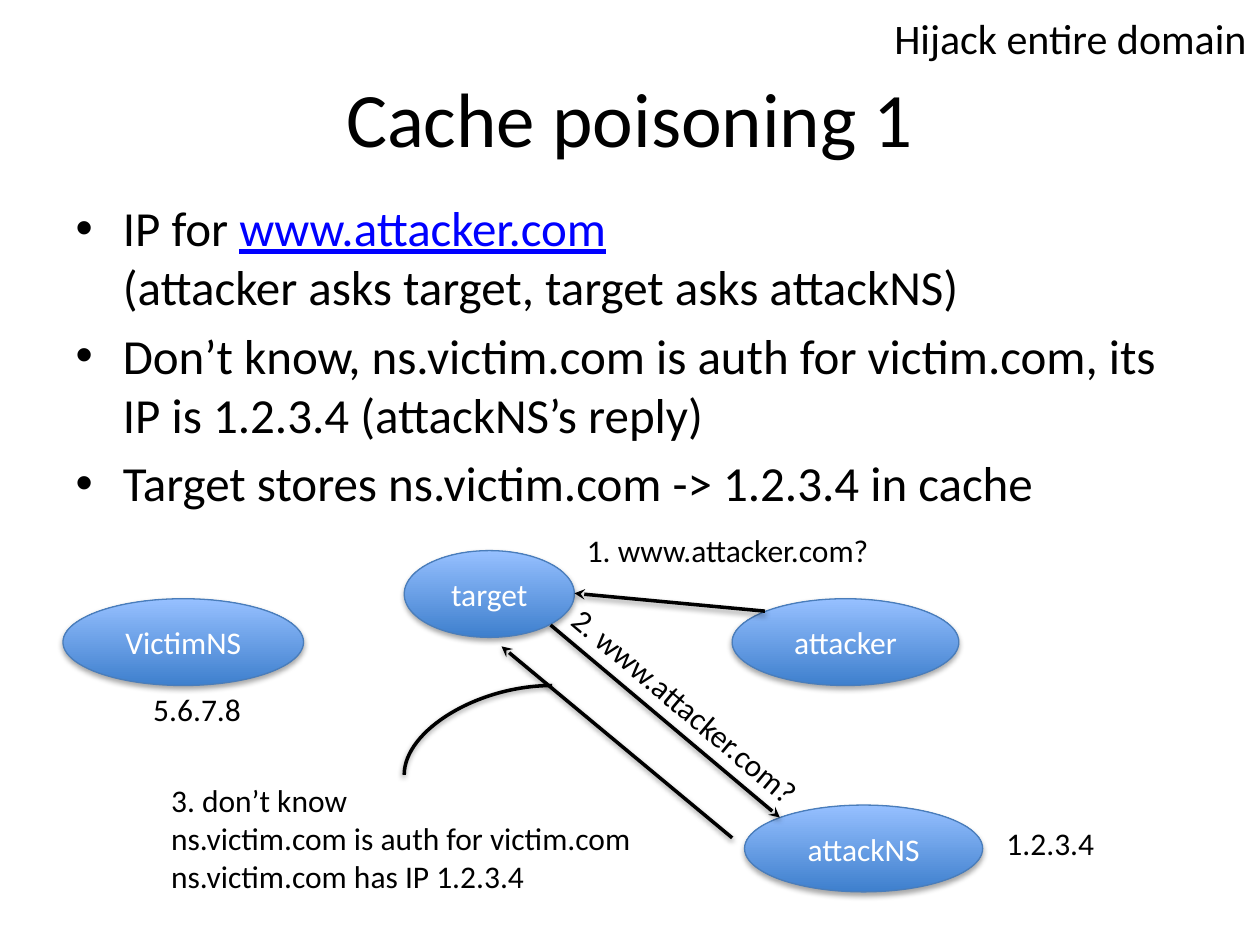
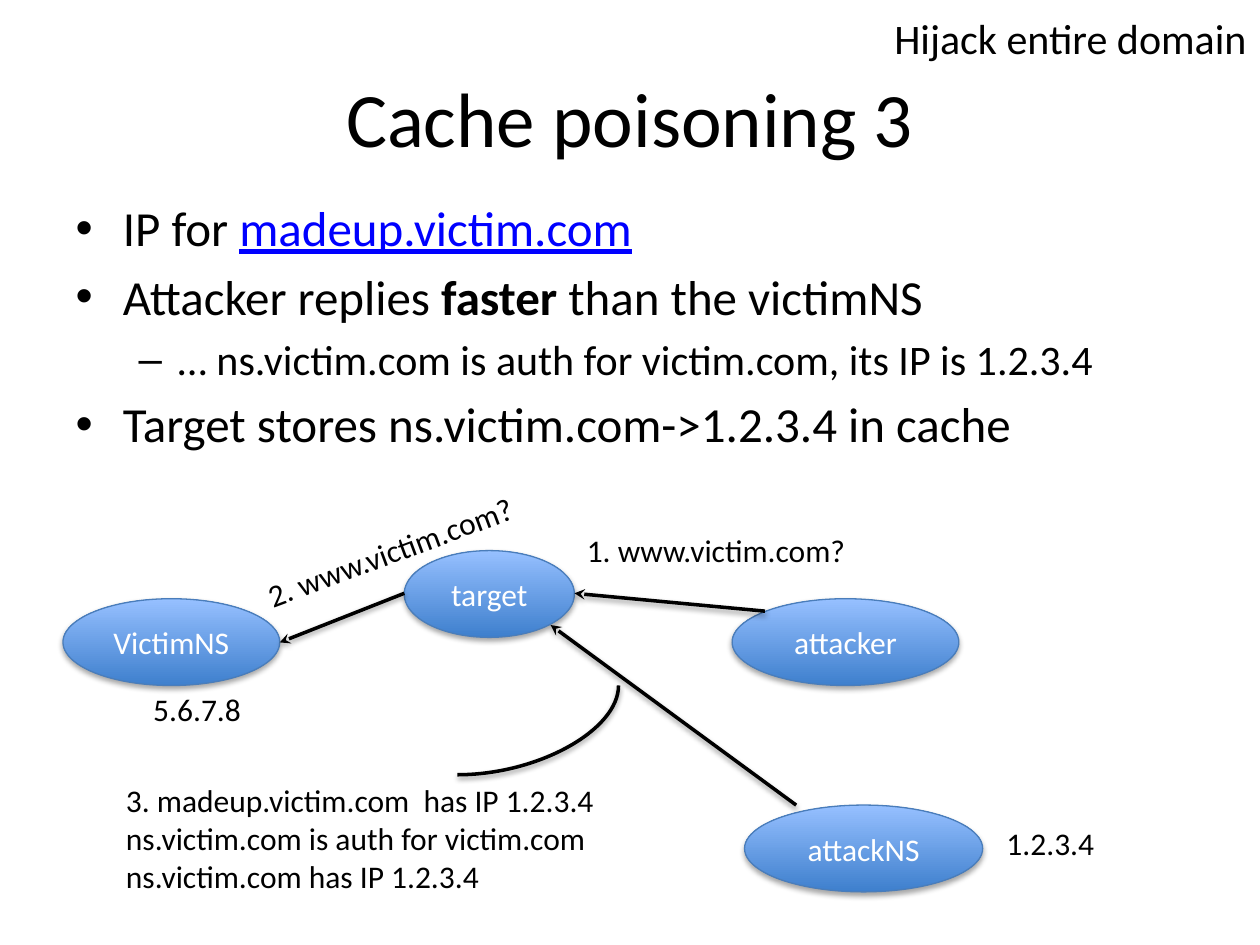
"""Build two slides on DNS cache poisoning, each with a list and a message diagram."""
from pptx import Presentation
from pptx.dml.color import RGBColor
from pptx.enum.shapes import MSO_CONNECTOR as Link, MSO_SHAPE as Form
from pptx.enum.text import MSO_ANCHOR as Anchor, MSO_AUTO_SIZE as Fit, PP_ALIGN as Align
from pptx.oxml import parse_xml
from pptx.oxml.ns import nsdecls, qn
from pptx.util import Cm, Pt

BLACK, WHITE, BLUE = "000000", "FFFFFF", "0000FF"
DARK, LIGHT, EDGE = "3E7FCD", "96C0FF", "4A7DBA"
FACE = "Calibri"
OVAL = 1.75
ROW = 1.02


def tint(code):
    """Turn a hex string into a colour."""
    return RGBColor.from_string(code)


def style(frame, size, code):
    """Give every run of a text frame its font, size and colour."""
    for para in frame.paragraphs:
        for run in para.runs:
            run.font.name = FACE
            run.font.size = Pt(size)
            run.font.color.rgb = tint(code)


nodes = [
    ("attacker", 14.76, 12.07, 4.57),
    ("attackNS", 15.01, 16.23, 4.8),
    ("target", 8.15, 11.1, 3.43),
]
notes = [
    ("1.2.3.4", 20.04, 16.48, 2.29, ROW, 0, 18),
    ("5.6.7.8", 2.84, 13.79, 2.29, ROW, 0, 18),
    ("Hijack entire domain", 17.78, 0.13, 7.7, 1.27, 0, 24),
]
query = (15.42, 12.32, 11.58, 11.96)

pages = [
    {
        "title": "Cache poisoning 1",
        "list": [
            (0, [("IP for ", ""), ("www.attacker.com", "link"), (" ", ""), ("\v", ""),
                 ("(attacker asks target, target asks attackNS)", "")]),
            (0, [("Don’t know, ns.victim.com is auth for victim.com, its IP is 1.2.3.4 "
                  "(attackNS’s reply)", "")]),
            (0, [("Target stores ns.victim.com -> 1.2.3.4 in cache", "")]),
        ],
        "victim": 4.85,
        "lines": [query, (11.1, 12.6, 15.72, 16.48), (14.76, 16.89, 10.11, 13.03)],
        "curve": (11.13, 13.82, 8.15, 15.62),
        "notes": [
            ("1. www.attacker.com?", 11.58, 10.59, 6.4, ROW, 0, 18),
            ("2. www.attacker.com?", 10.69, 13.79, 6.4, ROW, 40.2, 18),
            ("3. don’t know \vns.victim.com is auth for victim.com\n"
             "ns.victim.com has IP 1.2.3.4", 3.2, 15.62, 9.93, 2.57, 0, 18),
        ],
    },
    {
        "title": "Cache poisoning 3",
        "list": [
            (0, [("IP for ", ""), ("madeup.victim.com", "link")]),
            (0, [("Attacker replies ", ""), ("faster", "bold"), (" than the victimNS", "")]),
            (1, [("… ns.victim.com is auth for victim.com, its IP is 1.2.3.4", "")]),
            (0, [("Target stores ns.victim.com->1.2.3.4 in cache", "")]),
        ],
        "victim": 4.37,
        "lines": [query, (8.15, 11.96, 5.64, 12.95), (16.05, 16.23, 11.1, 12.6)],
        "curve": (9.22, 15.62, 12.47, 13.82),
        "notes": [
            ("1. www.victim.com?", 11.58, 10.59, 5.84, ROW, 0, 18),
            ("2. www.victim.com?", 5, 10.59, 5.84, ROW, 339.6, 18),
            ("3. madeup.victim.com  has IP 1.2.3.4\vns.victim.com is auth for victim.com\n"
             "ns.victim.com has IP 1.2.3.4", 2.29, 15.62, 10.85, 2.57, 0, 18),
        ],
    },
]

deck = Presentation()
deck.slide_width, deck.slide_height = Cm(25.4), Cm(19.05)

for page in pages:
    slide = deck.slides.add_slide(deck.slide_layouts[1])
    shades = []

    title = slide.shapes.title
    title.left, title.top, title.width, title.height = Cm(1.27), Cm(0.76), Cm(22.86), Cm(3.18)
    title.text_frame.text = page["title"]
    style(title.text_frame, 44, BLACK)

    body = slide.placeholders[1]
    body.left, body.top, body.width, body.height = Cm(1.27), Cm(3.86), Cm(22.86), Cm(12.57)
    frame = body.text_frame
    frame.auto_size = Fit.NONE
    for spot, (level, parts) in enumerate(page["list"]):
        para = frame.add_paragraph() if spot else frame.paragraphs[0]
        para.level = level
        for text, look in parts:
            if text == "\v":
                para.add_line_break()
                continue
            run = para.add_run()
            run.text = text
            font = run.font
            font.name = FACE
            font.size = Pt(24 if level else 28)
            font.color.rgb = tint(BLUE if look == "link" else BLACK)
            if look == "link":
                font.underline = True
            if look == "bold":
                font.bold = True

    for name, left, top, width in [("VictimNS", 1.27, 12.07, page["victim"])] + nodes:
        oval = slide.shapes.add_shape(Form.OVAL, Cm(left), Cm(top), Cm(width), Cm(OVAL))
        oval.fill.gradient()
        oval.fill.gradient_angle = 90
        for stop, code in zip(oval.fill.gradient_stops, (DARK, LIGHT)):
            stop.color.rgb = tint(code)
        oval.line.color.rgb = tint(EDGE)
        oval.line.width = Pt(0.75)
        frame = oval.text_frame
        frame.text = name
        frame.vertical_anchor = Anchor.MIDDLE
        frame.paragraphs[0].alignment = Align.CENTER
        style(frame, 18, WHITE)
        shades.append((oval, 23000, 35000))

    for ends in page["lines"] + [page["curve"]]:
        bent = ends == page["curve"]
        kind = Link.CURVE if bent else Link.STRAIGHT
        line = slide.shapes.add_connector(kind, *[Cm(end) for end in ends])
        line.line.color.rgb = tint(BLACK)
        line.line.width = Pt(2)
        props = line._element.spPr
        if bent:
            props.find(qn("a:prstGeom")).set("prst", "curvedConnector2")
        else:
            tip = parse_xml(f'<a:tailEnd {nsdecls("a")} type="stealth"/>')
            props.find(qn("a:ln")).append(tip)
        shades.append((line, 20000, 38000))

    for item, drop, alpha in shades:
        item._element.spPr.append(parse_xml(
            f'<a:effectLst {nsdecls("a")}><a:outerShdw blurRad="40000" dist="{drop}" '
            f'dir="5400000" rotWithShape="0"><a:srgbClr val="{BLACK}">'
            f'<a:alpha val="{alpha}"/></a:srgbClr></a:outerShdw></a:effectLst>'))

    for text, left, top, width, height, turn, size in notes + page["notes"]:
        note = slide.shapes.add_textbox(Cm(left), Cm(top), Cm(width), Cm(height))
        note.rotation = turn
        note.text_frame.word_wrap = True
        note.text_frame.text = text
        style(note.text_frame, size, BLACK)

deck.save("out.pptx")
